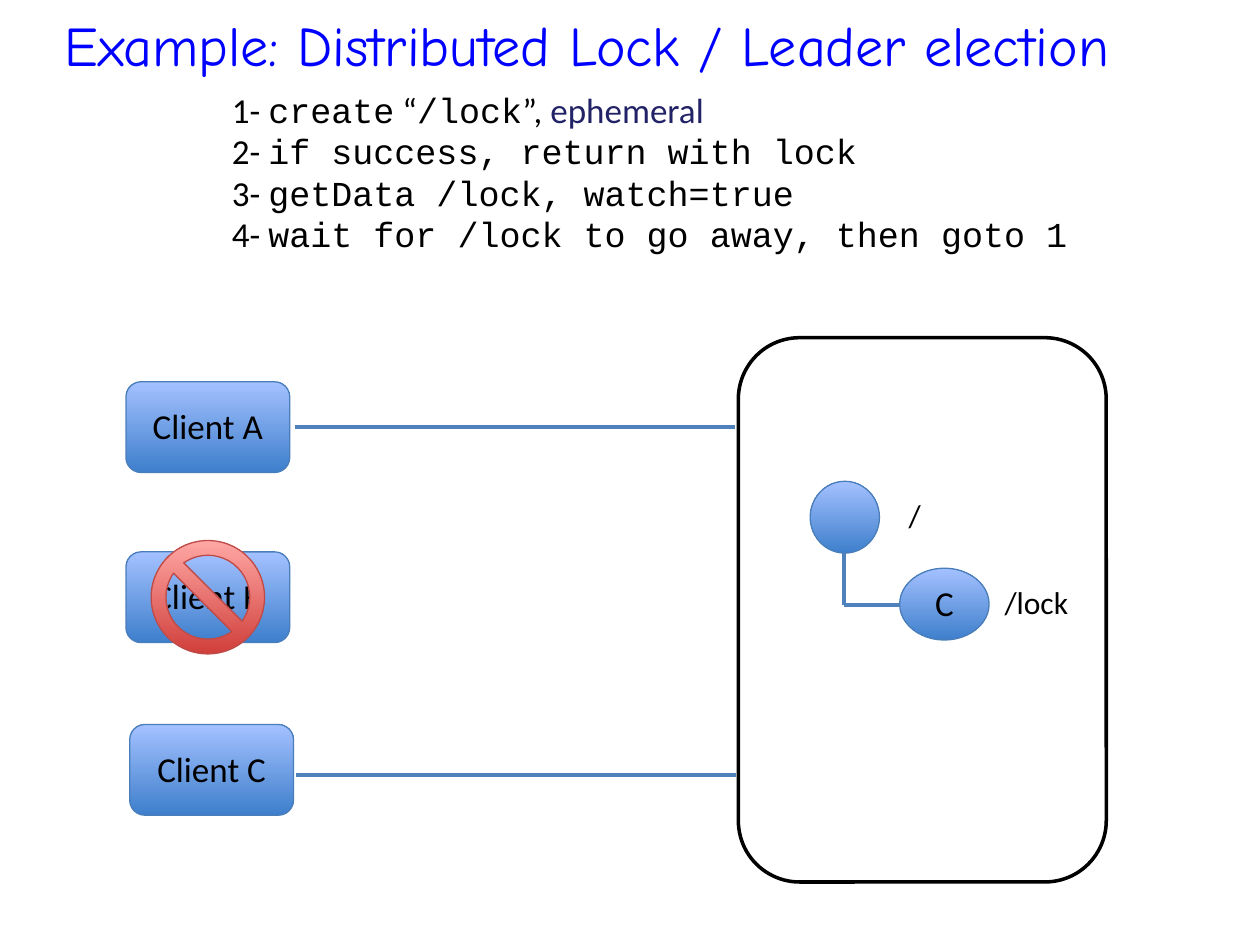
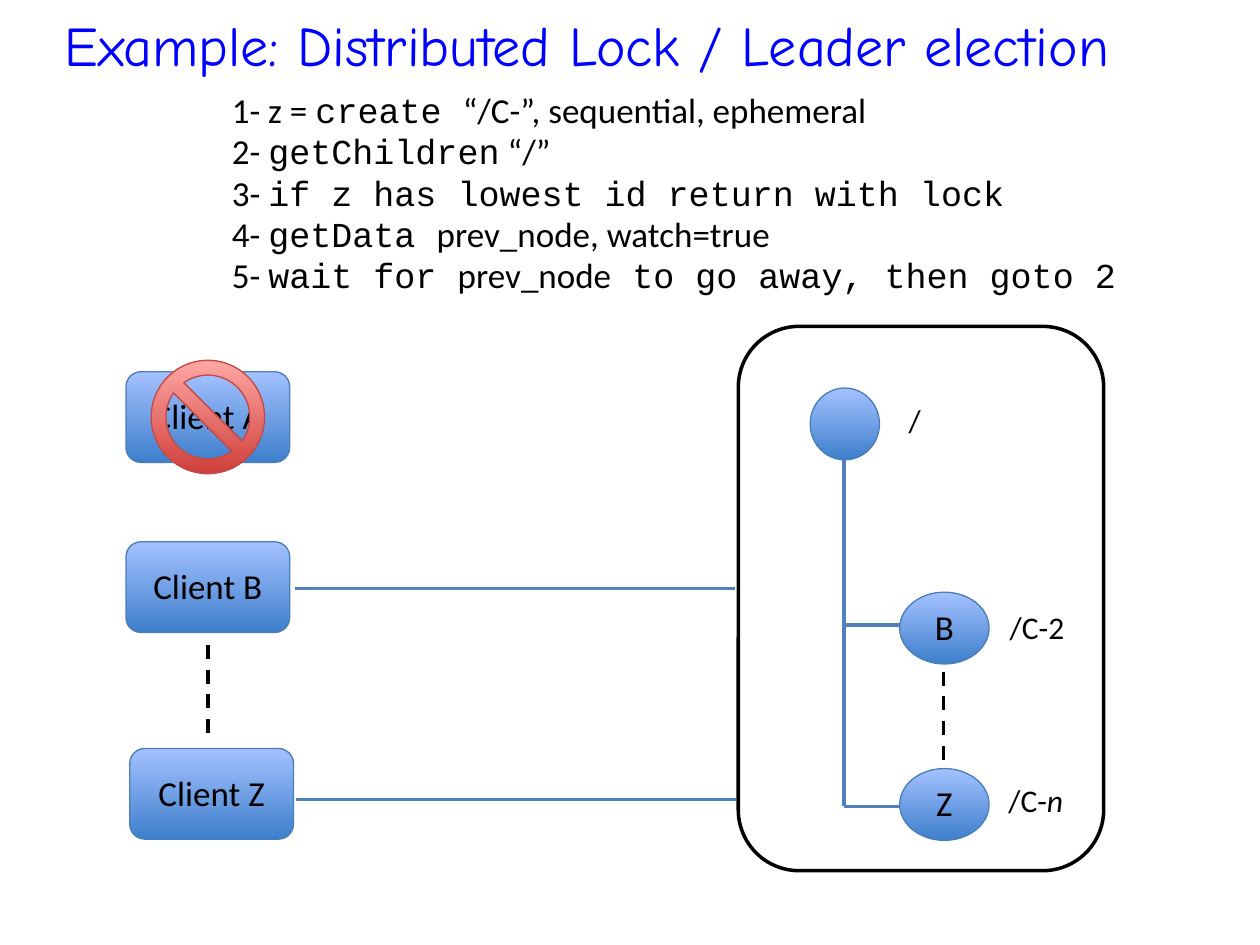
from dataclasses import dataclass
from typing import Any

from lxml import etree
from pptx import Presentation
from pptx.dml.color import RGBColor
from pptx.enum.dml import MSO_LINE
from pptx.enum.shapes import MSO_CONNECTOR, MSO_SHAPE
from pptx.enum.text import MSO_ANCHOR, MSO_AUTO_SIZE, PP_ALIGN
from pptx.oxml.ns import qn
from pptx.util import Inches, Pt

ROUNDED, OVAL, PROHIBITED = MSO_SHAPE.ROUNDED_RECTANGLE, MSO_SHAPE.OVAL, MSO_SHAPE.NO_SYMBOL
STRAIGHT, DASH = MSO_CONNECTOR.STRAIGHT, MSO_LINE.DASH
MIDDLE, TOP = MSO_ANCHOR.MIDDLE, MSO_ANCHOR.TOP
CENTER, LEFT = PP_ALIGN.CENTER, PP_ALIGN.LEFT
NO_FIT = MSO_AUTO_SIZE.NONE

SLIDE_WIDTH, SLIDE_HEIGHT = Inches(10), Inches(7.5)
COLUMNS, ROWS = 100, 75
TITLE = "Example: Distributed Lock / Leader election"


@dataclass(frozen=True)
class Theme:
    body_font: str = "Calibri"
    code_font: str = "Courier New"
    title_font: str = "Comic Neue"
    title_size: int = 32
    body_size: int = 20
    caption_size: int = 18
    ink: str = "000000"
    title_color: str = "0000FF"
    accent: str = "222267"
    link: str = "4F81BD"
    blue: tuple[str, str, str] = ("3E7FCC", "A4C1FF", "4A7EBB")
    red: tuple[str, str, str] = ("D03F3B", "FFA7A4", "BE4B48")
    thin: float = 0.75
    thick: float = 2
    line_spacing: float = 0.98


THEME = Theme()


@dataclass(frozen=True)
class Run:
    text: str
    font: str = THEME.body_font
    color: str = THEME.ink
    italic: bool = False


@dataclass(frozen=True)
class Box:
    left: float
    top: float
    width: float
    height: float

    @property
    def center(self) -> tuple[float, float]:
        return self.left + self.width / 2, self.top + self.height / 2

    def emu(self) -> tuple[int, int, int, int]:
        return column(self.left), row(self.top), column(self.width), row(self.height)


@dataclass(frozen=True)
class Client:
    label: str
    left: float
    top: float
    failed: bool = False


@dataclass(frozen=True)
class Node:
    label: str
    top: float
    branch_row: float
    caption: tuple[Run, ...]
    caption_box: Box


@dataclass(frozen=True)
class Line:
    start: tuple[float, float]
    end: tuple[float, float]
    color: str = THEME.link
    dashed: bool = False


@dataclass(frozen=True)
class LockSlide:
    steps: tuple[tuple[Run, ...], ...]
    steps_box: Box
    server: Box
    root_top: float
    root_caption_top: float
    clients: tuple[Client, ...]
    nodes: tuple[Node, ...]
    lines: tuple[Line, ...]


def code(text: str) -> Run:
    return Run(text, THEME.code_font)


TITLE_BOX = Box(4.2, -2.5, 100, 12.5)
TRUNK_COLUMN, NODE_LEFT = 67, 71.4

SLIDES = (
    LockSlide(
        steps=(
            (Run("1- "), code("create"), Run(" “"), code("/lock"), Run("”, "),
             Run("ephemeral", color=THEME.accent)),
            (Run("2- "), code("if success, return with lock")),
            (Run("3- "), code("getData /lock, watch=true")),
            (Run("4- "), code("wait for /lock to go away, then goto 1")),
        ),
        steps_box=Box(17.5, 6.8, 77.5, 17.4),
        server=Box(58.6, 26.8, 29.2, 43.2),
        root_top=38.2,
        root_caption_top=39.1,
        clients=(Client("Client A", 10, 30.3), Client("Client B", 10, 43.8, failed=True),
                 Client("Client C", 10.3, 57.5)),
        nodes=(Node("C", 45.1, 48, (Run("/lock"),), Box(78.8, 46, 6.9, 3.9)),),
        lines=(Line((23.4, 33.9), (58.3, 33.9)), Line((23.5, 61.5), (58.4, 61.5))),
    ),
    LockSlide(
        steps=(
            (Run("1- z = "), code("create "), Run("“/C-”, sequential, ephemeral")),
            (Run("2- "), code("getChildren"), Run(" “/”")),
            (Run("3- "), code("if z has lowest id return with lock")),
            (Run("4- "), code("getData "), Run("prev_node, watch=true")),
            (Run("5- "), code("wait for "), Run("prev_node"),
             code(" to go away, then goto 2")),
        ),
        steps_box=Box(17.5, 6.8, 74.2, 20.7),
        server=Box(58.6, 25.9, 29, 43.2),
        root_top=30.8,
        root_caption_top=31.6,
        clients=(Client("Client A", 10, 29.5, failed=True), Client("Client B", 10, 43),
                 Client("Client Z", 10.3, 59.4)),
        nodes=(
            Node("B", 47, 49.6, (Run("/C-2"),), Box(79.2, 48, 6.2, 3.9)),
            Node("Z", 61, 64, (Run("/C-"), Run("n", italic=True)), Box(79.1, 61.7, 6.2, 3.9)),
        ),
        lines=(
            Line((23.4, 46.7), (58.3, 46.7)),
            Line((23.5, 63.45), (58.4, 63.45)),
            Line((16.5, 51.2), (16.5, 58.9), THEME.ink, True),
            Line((74.9, 53.3), (74.9, 61), THEME.ink, True),
        ),
    ),
)


def column(count: float) -> int:
    return round(SLIDE_WIDTH * count / COLUMNS)


def row(count: float) -> int:
    return round(SLIDE_HEIGHT * count / ROWS)


def apply_format(target: Any, values: dict[str, Any]) -> None:
    for name, value in values.items():
        setattr(target, name, value)


def place(shape: Any, box: Box) -> None:
    apply_format(shape, dict(zip(("left", "top", "width", "height"), box.emu())))


def format_frame(frame: Any, anchor: Any, wrap: bool = True) -> None:
    apply_format(frame, {
        "word_wrap": wrap, "auto_size": NO_FIT, "vertical_anchor": anchor,
        "margin_left": Inches(0.09), "margin_right": Inches(0.09),
        "margin_top": Inches(0.04), "margin_bottom": Inches(0.04),
    })


def write_runs(paragraph: Any, runs: tuple[Run, ...], size: float, alignment: Any) -> None:
    apply_format(paragraph, {"alignment": alignment, "line_spacing": THEME.line_spacing,
                             "space_before": Pt(0)})
    for item in runs:
        run = paragraph.add_run()
        run.text = item.text
        apply_format(run.font, {"name": item.font, "size": Pt(size), "italic": item.italic})
        run.font.color.rgb = RGBColor.from_string(item.color)


def add_gradient_shape(slide: Any, kind: Any, box: Box, label: str = "",
                       palette: tuple[str, str, str] = THEME.blue) -> Any:
    shape = slide.shapes.add_shape(kind, *box.emu())
    shape.shadow.inherit = False
    shape.fill.gradient()
    shape.fill.gradient_angle = 90
    for stop, color in zip(shape.fill.gradient_stops, palette):
        stop.color.rgb = RGBColor.from_string(color)
    shape.line.color.rgb = RGBColor.from_string(palette[2])
    shape.line.width = Pt(THEME.thin)
    if label:
        format_frame(shape.text_frame, MIDDLE)
        write_runs(shape.text_frame.paragraphs[0], (Run(label),), THEME.body_size, CENTER)
    return shape


def add_line(slide: Any, line: Line) -> None:
    connector = slide.shapes.add_connector(
        STRAIGHT, column(line.start[0]), row(line.start[1]), column(line.end[0]), row(line.end[1]))
    connector.line.color.rgb = RGBColor.from_string(line.color)
    connector.line.width = Pt(THEME.thick)
    if line.dashed:
        connector.line.dash_style = DASH
    etree.SubElement(connector._element.spPr, qn("a:effectLst"))


def add_caption(slide: Any, runs: tuple[Run, ...], box: Box) -> None:
    frame = slide.shapes.add_textbox(*box.emu()).text_frame
    format_frame(frame, TOP, wrap=False)
    write_runs(frame.paragraphs[0], runs, THEME.caption_size, CENTER)


def add_title(slide: Any) -> None:
    title = slide.shapes.title
    place(title, TITLE_BOX)
    format_frame(title.text_frame, MIDDLE)
    run = Run(TITLE, THEME.title_font, THEME.title_color)
    write_runs(title.text_frame.paragraphs[0], (run,), THEME.title_size, LEFT)


def add_steps(slide: Any, steps: tuple[tuple[Run, ...], ...], box: Box) -> None:
    body = slide.placeholders[1]
    place(body, box)
    frame = body.text_frame
    format_frame(frame, TOP)
    for index, runs in enumerate(steps):
        paragraph = frame.add_paragraph() if index else frame.paragraphs[0]
        properties = paragraph._p.get_or_add_pPr()
        for name in ("marL", "indent"):
            properties.set(name, "0")
        etree.SubElement(properties, qn("a:buNone"))
        write_runs(paragraph, runs, THEME.body_size, LEFT)


def add_server(slide: Any, box: Box) -> None:
    server = slide.shapes.add_shape(ROUNDED, *box.emu())
    server.shadow.inherit = False
    server.fill.background()
    server.line.color.rgb = RGBColor.from_string(THEME.ink)
    server.line.width = Pt(THEME.thick)


def add_client(slide: Any, client: Client) -> None:
    box = Box(client.left, client.top, 13, 7.2)
    add_gradient_shape(slide, ROUNDED, box, client.label)
    if client.failed:
        size = 9
        middle_column, middle_row = box.center
        sign_box = Box(middle_column - size / 2, middle_row - size / 2, size, size)
        sign = add_gradient_shape(slide, PROHIBITED, sign_box, palette=THEME.red)
        sign.adjustments[0] = 0.13


def add_tree(slide: Any, content: LockSlide) -> None:
    root = Box(64.3, content.root_top, 5.5, 5.7)
    add_gradient_shape(slide, OVAL, root)
    add_caption(slide, (Run("/"),), Box(71.2, content.root_caption_top, 2.8, 3.9))
    last_row = content.nodes[-1].branch_row
    add_line(slide, Line((TRUNK_COLUMN, root.top + root.height), (TRUNK_COLUMN, last_row)))
    for node in content.nodes:
        add_line(slide, Line((TRUNK_COLUMN, node.branch_row), (NODE_LEFT, node.branch_row)))
        add_gradient_shape(slide, OVAL, Box(NODE_LEFT, node.top, 7.1, 5.7), node.label)
        add_caption(slide, node.caption, node.caption_box)


def add_lock_slide(presentation: Any, content: LockSlide) -> None:
    slide = presentation.slides.add_slide(presentation.slide_layouts[1])
    add_title(slide)
    add_steps(slide, content.steps, content.steps_box)
    add_server(slide, content.server)
    add_tree(slide, content)
    for client in content.clients:
        add_client(slide, client)
    for line in content.lines:
        add_line(slide, line)


def main() -> None:
    presentation = Presentation()
    apply_format(presentation, {"slide_width": SLIDE_WIDTH, "slide_height": SLIDE_HEIGHT})
    for content in SLIDES:
        add_lock_slide(presentation, content)
    presentation.save("out.pptx")


if __name__ == "__main__":
    main()
